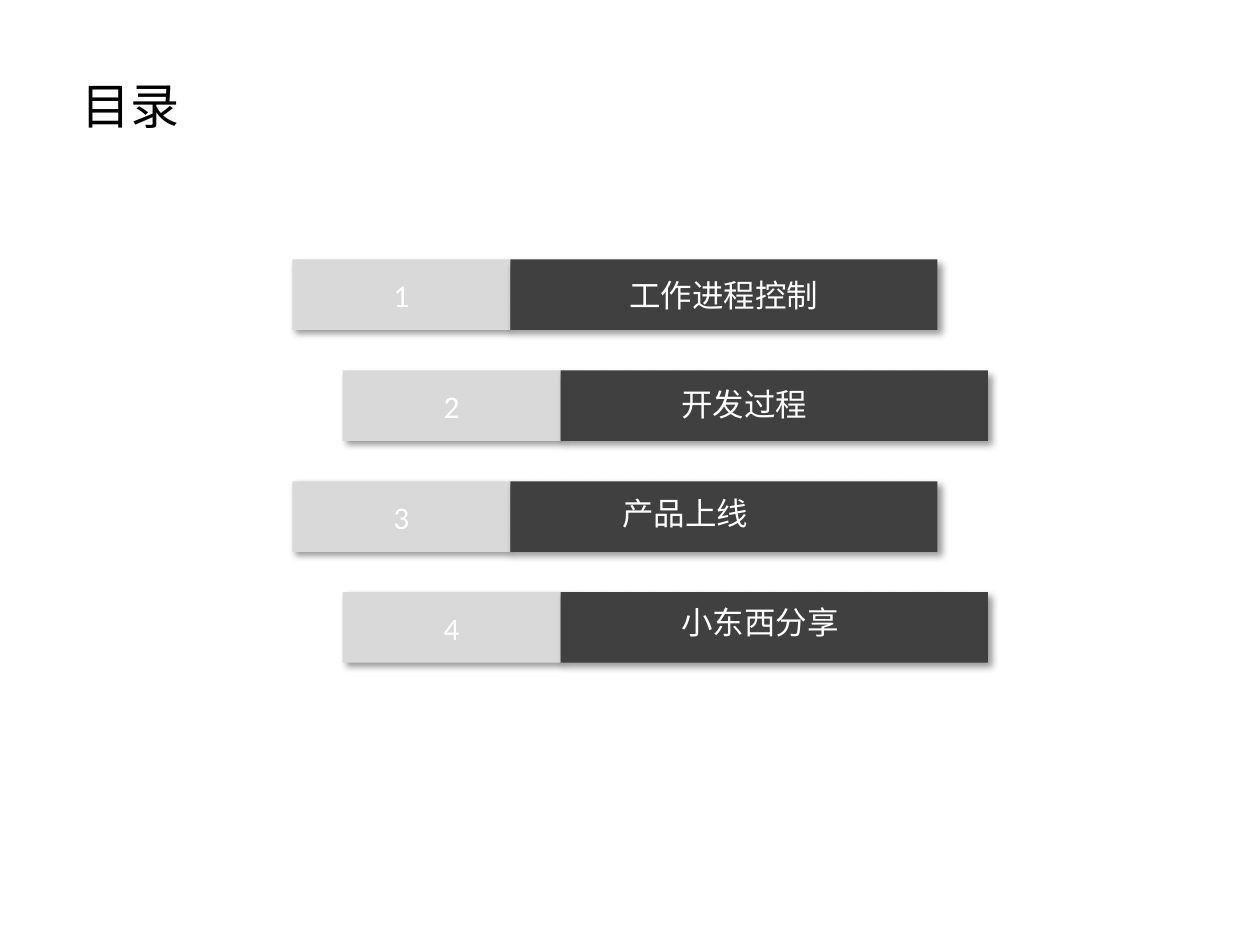
import lxml.etree
import pptx
import pptx.dml.color
import pptx.enum.shapes
import pptx.enum.text
import pptx.oxml.ns
import pptx.util

Inches = pptx.util.Inches
Pt = pptx.util.Pt
ALIGN = pptx.enum.text.PP_ALIGN
ANCHOR = pptx.enum.text.MSO_ANCHOR
qn = pptx.oxml.ns.qn


def rgb(value):
    return pptx.dml.color.RGBColor.from_string(value)


class Deck:
    latin = "Calibri"
    cjk = "Noto Sans CJK SC"
    light = "D9D9D9"
    dark = "404040"
    white = "FFFFFF"
    black = "000000"

    def __init__(self):
        self.prs = pptx.Presentation()
        self.prs.slide_width = Inches(10)
        self.prs.slide_height = Inches(7.5)
        self.s = self.prs.slides.add_slide(self.prs.slide_layouts[5])

    def set_text(self, sp, text, size, color, font, align, anchor):
        tf = sp.text_frame
        tf.vertical_anchor = anchor
        p = tf.paragraphs[0]
        p.text = text
        p.alignment = align
        p.font.size = Pt(size)
        p.font.color.rgb = rgb(color)
        p.font.name = font
        props = p._p.pPr.find(qn("a:defRPr"))
        lxml.etree.SubElement(props, qn("a:ea"), typeface=self.cjk)

    def title(self, text, left, top, width, height):
        sp = self.s.shapes.title
        sp.left, sp.top = Inches(left), Inches(top)
        sp.width, sp.height = Inches(width), Inches(height)
        self.set_text(sp, text, 28, self.black, self.cjk, ALIGN.LEFT, ANCHOR.TOP)

    def shadow(self, sp):
        sp.shadow.inherit = False
        effects = sp._element.spPr.find(qn("a:effectLst"))
        outer = lxml.etree.SubElement(
            effects, qn("a:outerShdw"), blurRad=str(Pt(4)), dist=str(Pt(3)),
            dir="2700000", algn="tl", rotWithShape="0")
        color = lxml.etree.SubElement(outer, qn("a:srgbClr"), val=self.black)
        lxml.etree.SubElement(color, qn("a:alpha"), val="40000")

    def bar(self, group, left, top, width, fill, text=None):
        sp = group.shapes.add_shape(
            pptx.enum.shapes.MSO_SHAPE.RECTANGLE,
            Inches(left), Inches(top), Inches(width), Inches(0.56))
        sp.fill.solid()
        sp.fill.fore_color.rgb = rgb(fill)
        sp.line.fill.background()
        self.shadow(sp)
        if text:
            self.set_text(sp, text, 18, self.white, self.latin, ALIGN.CENTER, ANCHOR.MIDDLE)

    def row(self, left, top, number, text=None):
        group = self.s.shapes.add_group_shape()
        self.bar(group, left, top, 1.73, self.light, number)
        self.bar(group, left + 1.73, top, 3.39, self.dark, text)

    def label(self, text, left, top, width):
        sp = self.s.shapes.add_textbox(
            Inches(left), Inches(top), Inches(width), Inches(0.4))
        sp.text_frame.word_wrap = False
        self.set_text(sp, text, 18, self.white, self.cjk, ALIGN.LEFT, ANCHOR.TOP)


def main():
    deck = Deck()
    deck.title("目录", 0.55, 0.55, 1.09, 0.57)

    for i, text in enumerate(["工作进程控制", None, None, None]):
        deck.row(2.32 + 0.4 * (i % 2), 2.06 + 0.88 * i, str(i + 1), text)

    labels = [
        ("开发过程", 5.31, 3.01, 1.21),
        ("产品上线", 4.84, 3.87, 1.21),
        ("小东西分享", 5.31, 4.74, 1.46),
    ]
    for label in labels:
        deck.label(*label)

    deck.prs.save("out.pptx")


if __name__ == "__main__":
    main()
